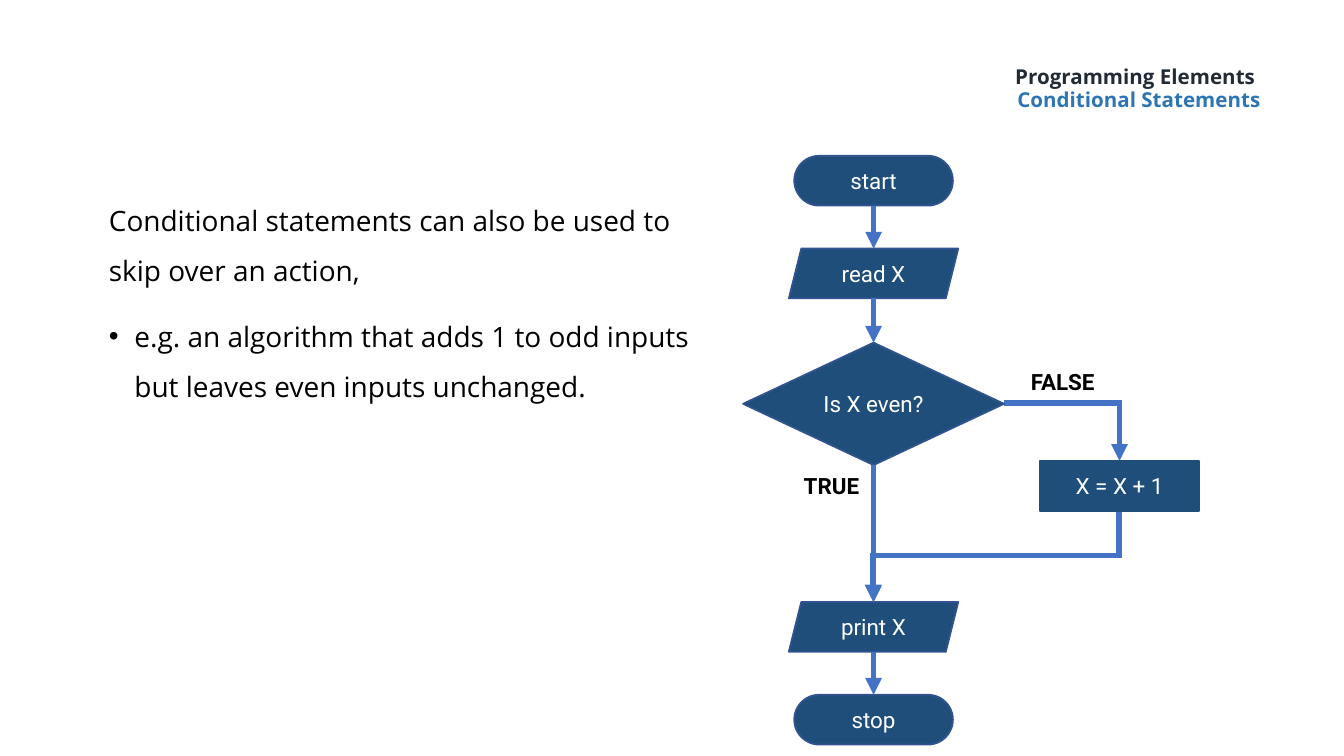
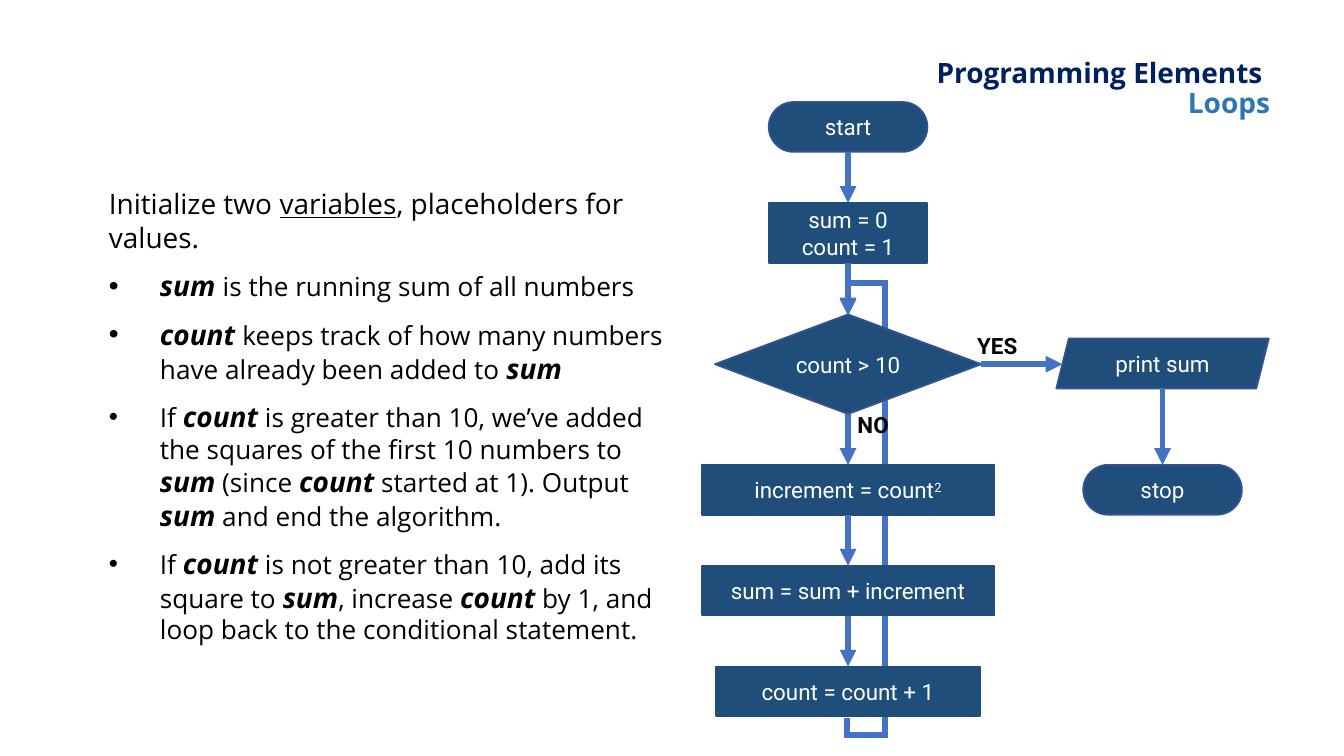
from dataclasses import dataclass, field

import lxml.etree
import pptx
import pptx.dml.color
import pptx.enum.shapes
import pptx.enum.text
import pptx.oxml.ns
import pptx.util

Shape = pptx.enum.shapes.MSO_SHAPE
Connector = pptx.enum.shapes.MSO_CONNECTOR
Align = pptx.enum.text.PP_ALIGN
Anchor = pptx.enum.text.MSO_ANCHOR
qn = pptx.oxml.ns.qn

PX = 9144
PAGE_WIDTH = 1000 * PX
PAGE_HEIGHT = PAGE_WIDTH * 9 // 16
TITLE_BOX = (390, 30, 555, 73)
TEXT_FONT = "Open Sans"
CHART_FONT = "Roboto"
NODE_FILL = "1E4E79"
NODE_EDGE = "31538F"
ARROW = "4472C4"
SUBTITLE = "2E75B5"
WHITE = "FFFFFF"
BLACK = "000000"
TOP, LEFT, BOTTOM, RIGHT = range(4)


@dataclass
class Node:
    kind: Shape
    text: str
    left: int
    top: int
    width: int = 118
    height: int = 37


@dataclass
class Link:
    source: str
    target: str
    sideways: bool = False


@dataclass
class Elbow:
    preset: str
    left: int
    top: int
    width: int
    height: int
    rotation: int = 0
    adjustments: tuple[int, ...] = ()


@dataclass
class Label:
    text: str
    left: int
    top: int
    width: int


@dataclass
class Para:
    text: str
    size: int = 15
    spacing: float = 1.0
    indent: int = 0


@dataclass
class Lesson:
    subtitle: str
    title_size: int
    title_color: str
    title_margins: tuple[int, int]
    body_box: tuple[int, int, int, int]
    body: list[Para]
    nodes: dict[str, Node]
    links: list[Link]
    labels: list[Label]
    elbows: list[Elbow] = field(default_factory=list)


def px(*lengths: int) -> list[int]:
    return [length * PX for length in lengths]


def rgb(value: str) -> pptx.dml.color.RGBColor:
    return pptx.dml.color.RGBColor.from_string(value)


def set_font(font, name: str, size: int, color: str, bold: bool = False) -> None:
    font.name = name
    font.size = pptx.util.Pt(size)
    font.color.rgb = rgb(color)
    font.bold = bold


def set_frame(frame, anchor=Anchor.TOP, wrap: bool = True, margins=(7, 4)) -> None:
    frame.auto_size = pptx.enum.text.MSO_AUTO_SIZE.NONE
    frame.word_wrap = wrap
    frame.vertical_anchor = anchor
    frame.margin_left = frame.margin_right = margins[0] * PX
    frame.margin_top = frame.margin_bottom = margins[1] * PX


def add_title(page, lesson: Lesson) -> None:
    title = page.shapes.title
    title.left, title.top, title.width, title.height = px(*TITLE_BOX)
    set_frame(title.text_frame, Anchor.MIDDLE, margins=lesson.title_margins)
    para = title.text_frame.paragraphs[0]
    para.alignment = Align.RIGHT
    para.line_spacing = 0.9
    set_font(para.font, TEXT_FONT, lesson.title_size, lesson.title_color, True)
    for text, color in (("Programming Elements ", lesson.title_color),
                        (lesson.subtitle, SUBTITLE)):
        if para.runs:
            para.add_line_break()
        span = para.add_run()
        span.text = text
        set_font(span.font, TEXT_FONT, lesson.title_size, color, True)


def add_bullet(para, indent: int) -> None:
    props = para._p.get_or_add_pPr()
    props.set("marL", str(indent * PX))
    props.set("indent", str(-indent * PX))
    color = lxml.etree.SubElement(props, qn("a:buClr"))
    lxml.etree.SubElement(color, qn("a:srgbClr")).set("val", BLACK)
    lxml.etree.SubElement(props, qn("a:buFont")).set("typeface", "Arial")
    lxml.etree.SubElement(props, qn("a:buChar")).set("char", "•")


def add_body(page, box: tuple[int, int, int, int], body: list[Para]) -> None:
    frame = page.shapes.add_textbox(*px(*box)).text_frame
    set_frame(frame)
    for number, item in enumerate(body):
        para = frame.add_paragraph() if number else frame.paragraphs[0]
        para.line_spacing = item.spacing
        if number:
            para.space_before = pptx.util.Pt(8)
        if item.indent:
            add_bullet(para, item.indent)
        set_font(para.font, TEXT_FONT, item.size, BLACK)
        for position, text in enumerate(item.text.split("*")):
            if not text:
                continue
            marked = position % 2 == 1
            term = marked and item.indent > 0
            span = para.add_run()
            span.text = text
            set_font(span.font, TEXT_FONT, 15 if term else item.size, BLACK, term)
            span.font.italic = term
            span.font.underline = marked and not term


def add_node(page, node: Node):
    shape = page.shapes.add_shape(
        node.kind, *px(node.left, node.top, node.width, node.height))
    shape.shadow.inherit = False
    shape.fill.solid()
    shape.fill.fore_color.rgb = rgb(NODE_FILL)
    edge = NODE_FILL if node.kind == Shape.RECTANGLE else NODE_EDGE
    shape.line.color.rgb = rgb(edge)
    shape.line.width = pptx.util.Pt(1)
    if node.kind == Shape.ROUNDED_RECTANGLE:
        shape.adjustments[0] = 0.5
    elif node.kind == Shape.PARALLELOGRAM:
        shape.adjustments[0] = 0.25
    frame = shape.text_frame
    set_frame(frame, Anchor.MIDDLE)
    for number, line in enumerate(node.text.split("\n")):
        para = frame.add_paragraph() if number else frame.paragraphs[0]
        para.alignment = Align.CENTER
        set_font(para.font, CHART_FONT, 12, WHITE)
        for position, text in enumerate(line.split("^")):
            span = para.add_run()
            span.text = text
            set_font(span.font, CHART_FONT, 12, WHITE)
            if position:
                span._r.get_or_add_rPr().set("baseline", "30000")
    return shape


def style_arrow(connector) -> None:
    connector.line.color.rgb = rgb(ARROW)
    connector.line.width = pptx.util.Pt(3)
    props = connector._element.spPr
    line = props.find(qn("a:ln"))
    lxml.etree.SubElement(line, qn("a:miter")).set("lim", "800000")
    lxml.etree.SubElement(line, qn("a:tailEnd")).set("type", "triangle")
    lxml.etree.SubElement(props, qn("a:effectLst"))


def add_link(page, link: Link, shapes: dict) -> None:
    source, target = shapes[link.source], shapes[link.target]
    if link.sideways:
        middle = source.top + source.height // 2
        slant = target.height // 8
        ends = (source.left + source.width, middle, target.left + slant, middle)
        sides = (RIGHT, LEFT)
    else:
        center = source.left + source.width // 2
        ends = (center, source.top + source.height, center, target.top)
        sides = (BOTTOM, TOP)
    connector = page.shapes.add_connector(Connector.STRAIGHT, *ends)
    if source.auto_shape_type != Shape.PARALLELOGRAM:
        connector.begin_connect(source, sides[0])
    if target.auto_shape_type != Shape.PARALLELOGRAM:
        connector.end_connect(target, sides[1])
    style_arrow(connector)


def add_elbow(page, elbow: Elbow) -> None:
    connector = page.shapes.add_connector(
        Connector.ELBOW,
        *px(elbow.left, elbow.top, elbow.left + elbow.width, elbow.top + elbow.height))
    props = connector._element.spPr
    if elbow.rotation:
        props.find(qn("a:xfrm")).set("rot", str(elbow.rotation * 60000))
    geometry = props.find(qn("a:prstGeom"))
    geometry.set("prst", elbow.preset)
    guides = geometry.find(qn("a:avLst"))
    for number, value in enumerate(elbow.adjustments, 1):
        guide = lxml.etree.SubElement(guides, qn("a:gd"))
        guide.set("name", f"adj{number}")
        guide.set("fmla", f"val {value}")
    style_arrow(connector)


def add_label(page, label: Label) -> None:
    box = page.shapes.add_textbox(*px(label.left, label.top, label.width, 28))
    set_frame(box.text_frame, wrap=False)
    para = box.text_frame.paragraphs[0]
    para.text = label.text
    set_font(para.font, CHART_FONT, 12, BLACK, True)


def add_lesson(deck, lesson: Lesson) -> None:
    page = deck.slides.add_slide(deck.slide_layouts[5])
    for elbow in lesson.elbows:
        add_elbow(page, elbow)
    shapes = {name: add_node(page, node) for name, node in lesson.nodes.items()}
    for link in lesson.links:
        add_link(page, link, shapes)
    for label in lesson.labels:
        add_label(page, label)
    add_body(page, lesson.body_box, lesson.body)
    add_title(page, lesson)


CONDITIONALS = Lesson(
    "Conditional Statements", 11, "222A35", (7, 4), (74, 135, 451, 383),
    [Para("Conditional statements can also be used to skip over an action,", spacing=1.5),
     Para("e.g. an algorithm that adds 1 to odd inputs but leaves even inputs unchanged.",
          spacing=1.5, indent=19)],
    {"start": Node(Shape.ROUNDED_RECTANGLE, "start", 591, 116),
     "read": Node(Shape.PARALLELOGRAM, "read X", 587, 185, 126),
     "test": Node(Shape.DIAMOND, "Is X even?", 553, 255, 194, 91),
     "add": Node(Shape.RECTANGLE, "X = X + 1", 774, 343),
     "print": Node(Shape.PARALLELOGRAM, "print X", 587, 448, 126),
     "stop": Node(Shape.ROUNDED_RECTANGLE, "stop", 591, 517)},
    [Link("start", "read"), Link("read", "test"),
     Link("test", "print"), Link("print", "stop")],
    [Label("TRUE", 591, 347, 61), Label("FALSE", 760, 270, 68)],
    [Elbow("bentConnector2", 747, 300, 86, 43),
     Elbow("bentConnector3", 707, 322, 68, 183, 90, (50000,))],
)

LOOPS = Lesson(
    "Loops", 15, "002060", (0, 0), (74, 135, 429, 330),
    [Para("Initialize two *variables*, placeholders for values."),
     Para("*sum *is the running sum of all numbers", 14, indent=38),
     Para("*count *keeps track of how many numbers have already been added to *sum*",
          14, indent=38),
     Para("If *count* is greater than 10, we’ve added the squares of the first 10 numbers "
          "to *sum* (since *count* started at 1). Output *sum* and end the algorithm.",
          14, indent=38),
     Para("If *count* is not greater than 10, add its square to *sum*, increase *count* "
          "by 1, and loop back to the conditional statement.", 14, indent=38)],
    {"start": Node(Shape.ROUNDED_RECTANGLE, "start", 572, 76),
     "init": Node(Shape.RECTANGLE, "sum = 0\ncount = 1", 572, 151, height=45),
     "test": Node(Shape.DIAMOND, "count > 10", 532, 234, 198, 74),
     "square": Node(Shape.RECTANGLE, "increment = count^2", 522, 346, 218),
     "sum": Node(Shape.RECTANGLE, "sum = sum + increment", 522, 421, 218),
     "count": Node(Shape.RECTANGLE, "count = count + 1", 533, 496, 196),
     "print": Node(Shape.PARALLELOGRAM, "print sum", 786, 252, 158),
     "stop": Node(Shape.ROUNDED_RECTANGLE, "stop", 806, 346)},
    [Link("start", "init"), Link("init", "test"), Link("test", "square"),
     Link("square", "sum"), Link("sum", "count"),
     Link("test", "print", sideways=True), Link("print", "stop")],
    [Label("YES", 720, 243, 48), Label("NO", 631, 302, 41)],
    [Elbow("bentConnector5", 481, 384, 299, 1, 270, (-4300, 2900000, 108200))],
)


def main() -> None:
    deck = pptx.Presentation()
    deck.slide_width, deck.slide_height = PAGE_WIDTH, PAGE_HEIGHT
    for lesson in (CONDITIONALS, LOOPS):
        add_lesson(deck, lesson)
    deck.save("out.pptx")


if __name__ == "__main__":
    main()
